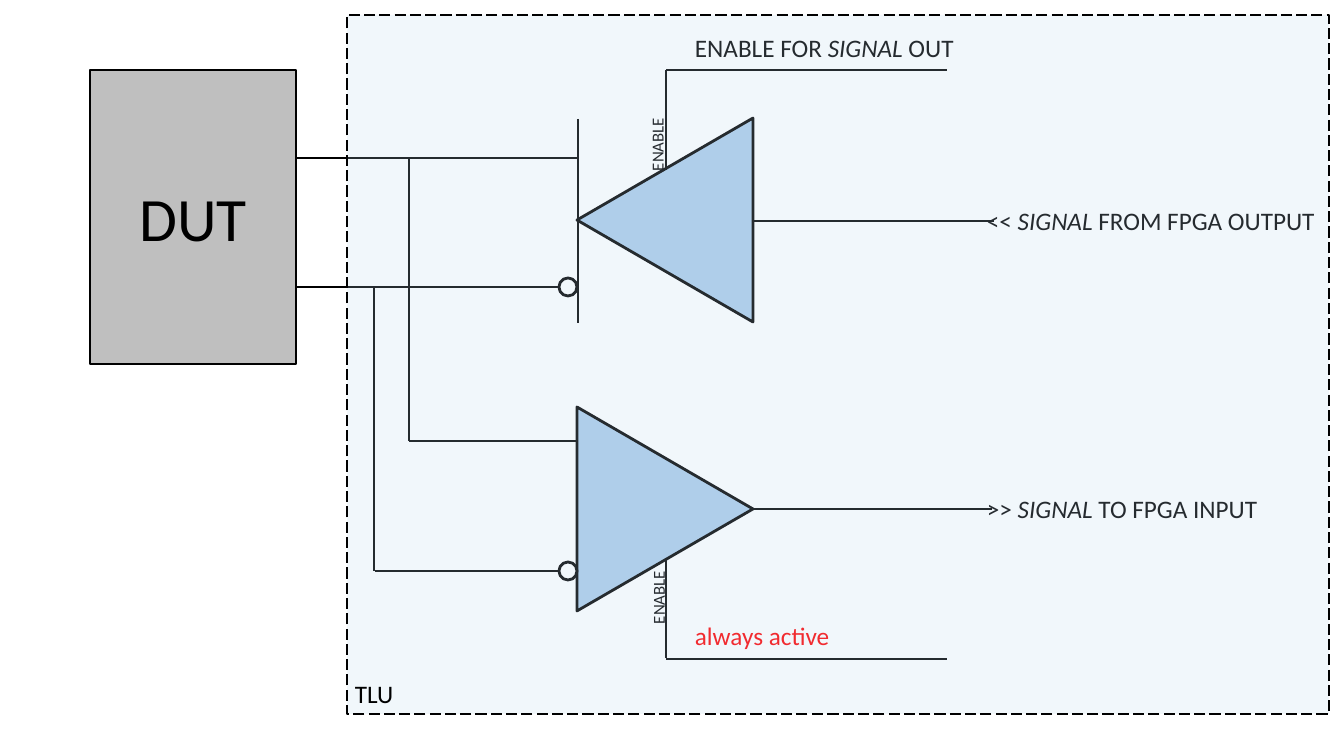
from dataclasses import dataclass
from lxml import etree
from pptx import Presentation
from pptx import util as u
from pptx.dml.color import RGBColor
from pptx.enum import dml, shapes, text
from pptx.oxml.ns import qn


@dataclass(frozen=True)
class Theme:
    font: str = "Calibri"
    ink: str = "000000"
    alert: str = "FF0000"
    device: str = "BFBFBF"
    buffer: str = "5B9BD5"
    inverter: str = "FFFFFF"
    unit: str = "BDD7EE"
    title: int = 44
    label: int = 18
    pin: int = 12
    wire: int = 2
    border: int = 1


theme = Theme()
PX = 914400 / 100.8
deck = Presentation()
deck.slide_width, deck.slide_height = u.Emu(round(1344 * PX)), u.Emu(round(756 * PX))
slide = deck.slides.add_slide(deck.slide_layouts[6])


def add_block(preset, box, color, alpha=100, rotation=0, width=theme.wire):
    block = slide.shapes.add_shape(preset, *[u.Emu(round(v * PX)) for v in box])
    block.shadow.inherit = False
    block.rotation = rotation
    block.fill.solid()
    block.fill.fore_color.rgb = RGBColor.from_string(color)
    if alpha < 100:
        tint = block.fill._xPr.find(qn("a:solidFill"))[0]
        etree.SubElement(tint, qn("a:alpha"), val=str(alpha * 1000))
    block.line.color.rgb = RGBColor.from_string(theme.ink)
    block.line.width = u.Pt(width)
    return block


def add_label(box, pieces, size=theme.label, color=theme.ink, rotation=0):
    label = slide.shapes.add_textbox(*[u.Emu(round(v * PX)) for v in box])
    label.rotation = rotation
    frame = label.text_frame
    frame.word_wrap = bool(rotation)
    frame.auto_size = text.MSO_AUTO_SIZE.SHAPE_TO_FIT_TEXT
    for piece in pieces:
        run = frame.paragraphs[0].add_run()
        run.text = piece
        run.font.name = theme.font
        run.font.size = u.Pt(size)
        run.font.italic = piece == "SIGNAL"
        run.font.color.rgb = RGBColor.from_string(color)


for top, rotation in ((132, 270), (421, 90)):
    add_block(shapes.MSO_SHAPE.ISOSCELES_TRIANGLE, (563, top, 204, 176),
              theme.buffer, 50, rotation)

wires = [
    (578, 119, 578, 323),
    (578, 158, 296, 158),
    (578, 287, 296, 287),
    (994, 221, 754, 221),
    (666, 70, 666, 170),
    (947, 70, 666, 70),
    (375, 571, 577, 571),
    (409, 441, 577, 441),
    (754, 509, 992, 509),
    (666, 658, 666, 559),
    (666, 659, 947, 659),
    (374, 571, 374, 287),
    (409, 441, 409, 158),
]
for ends in wires:
    wire = slide.shapes.add_connector(
        shapes.MSO_CONNECTOR.STRAIGHT, *[u.Emu(round(v * PX)) for v in ends])
    wire.line.color.rgb = RGBColor.from_string(theme.ink)
    wire.line.width = u.Pt(theme.wire)
    etree.SubElement(wire._element.spPr, qn("a:effectLst"))

for top in (278, 562):
    add_block(shapes.MSO_SHAPE.OVAL, (559, top, 18, 18), theme.inverter)

add_label((977, 200, 352, 40), ("<< ", "SIGNAL", " FROM FPGA OUTPUT"))
add_label((977, 488, 293, 40), (">> ", "SIGNAL", " TO FPGA INPUT"))
add_label((685, 27, 281, 40), ("ENABLE FOR ", "SIGNAL", " OUT"))
add_label((685, 615, 156, 40), ("always active",), color=theme.alert)

dut = add_block(shapes.MSO_SHAPE.RECTANGLE, (90, 70, 206, 294), theme.device)
dut.text_frame.text = "DUT"
dut.text_frame.vertical_anchor = text.MSO_ANCHOR.MIDDLE
dut_name = dut.text_frame.paragraphs[0]
dut_name.alignment = text.PP_ALIGN.CENTER
dut_name.runs[0].font.name = theme.font
dut_name.runs[0].font.size = u.Pt(theme.title)
dut_name.runs[0].font.color.rgb = RGBColor.from_string(theme.ink)

for left, top in ((620, 129), (621, 582)):
    add_label((left, top, 74, 30), ("ENABLE",), theme.pin, rotation=270)

tlu = add_block(shapes.MSO_SHAPE.RECTANGLE, (347, 15, 982, 699), theme.unit, 20,
                width=theme.border)
tlu.line.dash_style = dml.MSO_LINE.LONG_DASH
add_label((345, 673, 59, 40), ("TLU",))

deck.save("out.pptx")
